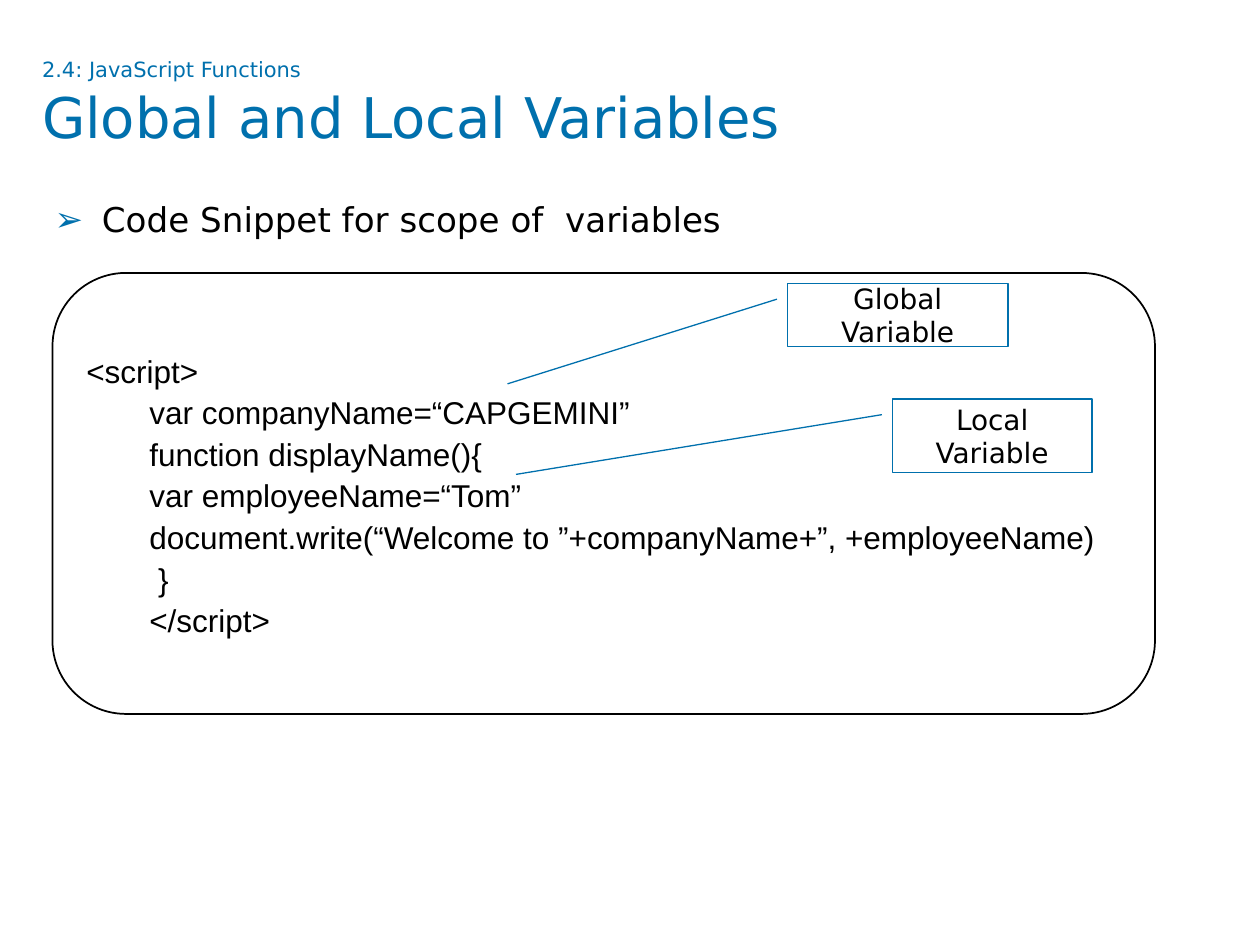
from dataclasses import dataclass

from lxml import etree
from pptx import Presentation, util as u
from pptx.dml.color import RGBColor
from pptx.enum import shapes, text
from pptx.oxml.ns import qn

BLUE, BLACK, WHITE = "0070AD", "000000", "FFFFFF"
SANS, CODE_FONT = "DejaVu Sans", "Arial"

CODE_LINES = [
    "<script>",
    "var companyName=“CAPGEMINI”",
    "function displayName(){",
    "var employeeName=“Tom”",
    "document.write(“Welcome to ”+companyName+”, +employeeName)",
    " }",
    "</script>",
]


@dataclass
class Callout:
    label: str
    left: float
    top: float
    width: float
    height: float
    pointer: tuple[float, ...]  # y and x of the start, then of the end, as shares of the box


CALLOUTS = [
    Callout("Global Variable", 450, 162, 126, 36, (0.25, -0.048, 1.594, -1.27)),
    Callout("Local Variable", 510, 228, 114, 42, (0.214, -0.053, 1.027, -1.887)),
]


def color(value: str) -> RGBColor:
    return RGBColor.from_string(value)


def place(shape, left: float, top: float, width: float, height: float) -> None:
    shape.left, shape.top = u.Pt(left), u.Pt(top)
    shape.width, shape.height = u.Pt(width), u.Pt(height)


def style(span, size: float, ink: str, name: str = SANS) -> None:
    span.font.size = u.Pt(size)
    span.font.name = name
    span.font.color.rgb = color(ink)


def indent(para, margin: float, first_line: float) -> None:
    properties = para._p.get_or_add_pPr()
    properties.set("marL", str(u.Pt(margin)))
    properties.set("indent", str(u.Pt(first_line)))


def add_bullet(para, symbol: str, ink: str) -> None:
    properties = para._p.get_or_add_pPr()
    bullet_color = etree.SubElement(properties, qn("a:buClr"))
    etree.SubElement(bullet_color, qn("a:srgbClr"), val=ink)
    etree.SubElement(properties, qn("a:buChar"), char=symbol)


def fill_title(title) -> None:
    place(title, 24, 32.5, 672, 67.5)
    frame = title.text_frame
    frame.text = "2.4: JavaScript Functions \vGlobal and Local Variables"
    frame.margin_left = frame.margin_top = frame.margin_right = frame.margin_bottom = 0
    frame.vertical_anchor = text.MSO_ANCHOR.TOP
    frame.auto_size = text.MSO_AUTO_SIZE.NONE
    para = frame.paragraphs[0]
    para.alignment = text.PP_ALIGN.LEFT
    for span, size in zip(para.runs, (12, 32)):
        style(span, size, BLUE)
    # The line break needs its own size to keep the first line low.
    etree.SubElement(para._p.find(qn("a:br")), qn("a:rPr"), sz="1200")


def fill_body(body) -> None:
    place(body, 24, 110, 648, 29)
    frame = body.text_frame
    frame.text = "Code Snippet for scope of  variables"
    frame.auto_size = text.MSO_AUTO_SIZE.NONE
    para = frame.paragraphs[0]
    para.space_before = u.Pt(0)
    indent(para, 27, -27)
    add_bullet(para, "➢", BLUE)
    style(para.runs[0], 19.5, BLACK)


def add_box(page, kind, left: float, top: float, width: float, height: float,
            ink: str, weight: float):
    box = page.shapes.add_shape(kind, *map(u.Pt, (left, top, width, height)))
    box.shadow.inherit = False
    box.line.color.rgb = color(ink)
    box.line.width = u.Pt(weight)
    box.text_frame.vertical_anchor = text.MSO_ANCHOR.MIDDLE
    return box


def add_code(page) -> None:
    box = add_box(page, shapes.MSO_SHAPE.ROUNDED_RECTANGLE, 30, 156, 630, 252, BLACK, 1)
    box.fill.solid()
    box.fill.fore_color.rgb = color(WHITE)
    frame = box.text_frame
    frame.word_wrap = False
    frame.text = "\n".join(CODE_LINES)
    for number, para in enumerate(frame.paragraphs):
        para.alignment = text.PP_ALIGN.LEFT
        para.line_spacing = 1.1
        if number:
            para.level = 1
            indent(para, 58.5, -22.5)
        style(para.runs[0], 18, BLACK, CODE_FONT)


def add_callout(page, callout: Callout) -> None:
    box = add_box(page, shapes.MSO_SHAPE.LINE_CALLOUT_1, callout.left, callout.top,
                  callout.width, callout.height, BLUE, 0.75)
    box.fill.background()
    for number, share in enumerate(callout.pointer):
        box.adjustments[number] = share
    frame = box.text_frame
    frame.word_wrap = True
    frame.text = callout.label
    para = frame.paragraphs[0]
    para.alignment = text.PP_ALIGN.CENTER
    style(para.runs[0], 16, BLACK)


def main() -> None:
    deck = Presentation()
    deck.slide_width, deck.slide_height = u.Pt(720), u.Pt(540)
    page = deck.slides.add_slide(deck.slide_layouts[1])
    fill_title(page.shapes.title)
    fill_body(page.placeholders[1])
    add_code(page)
    for callout in CALLOUTS:
        add_callout(page, callout)
    deck.save("out.pptx")


if __name__ == "__main__":
    main()
